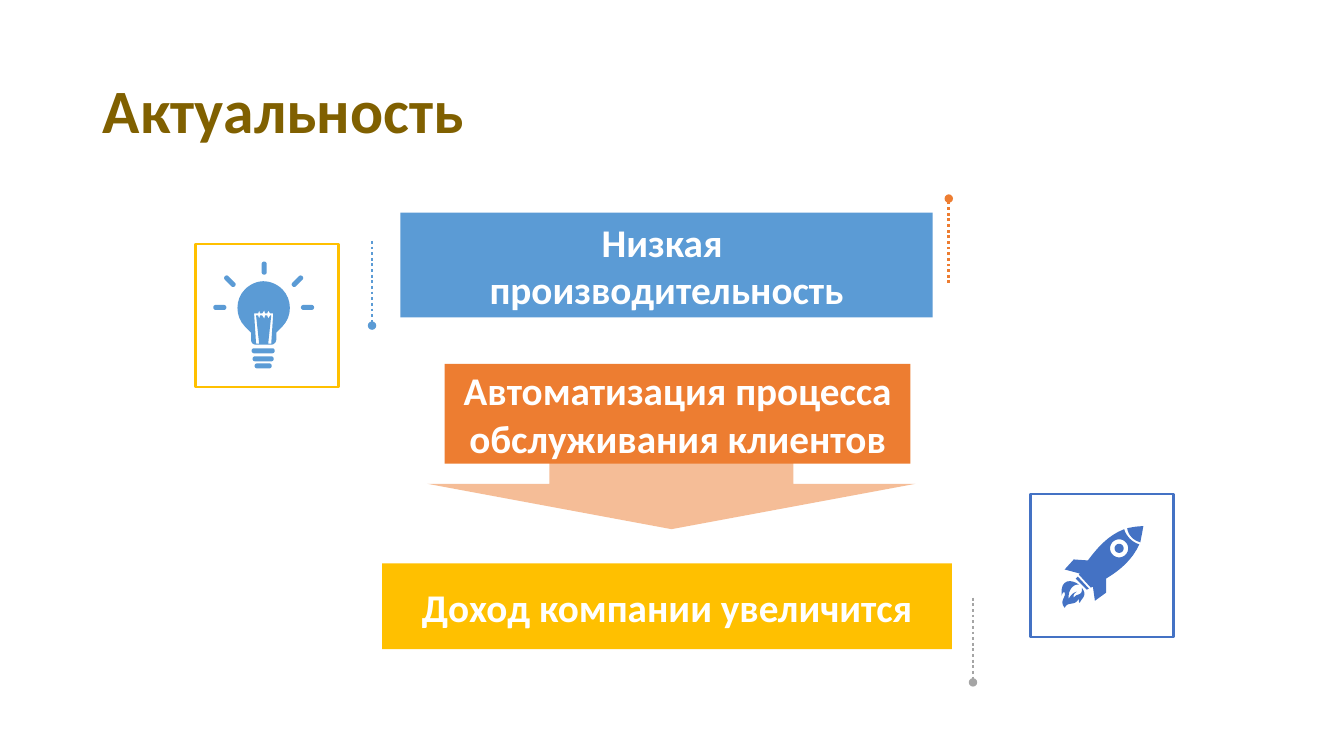
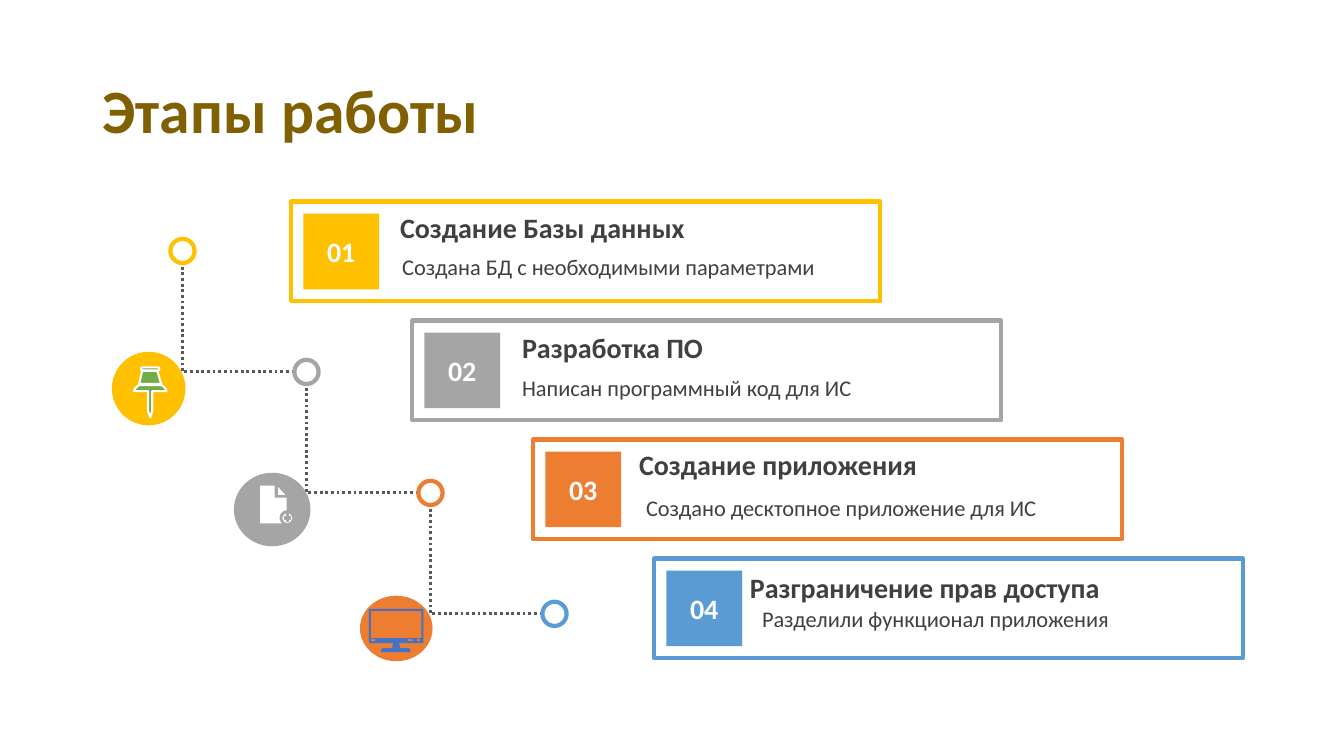
import math

import lxml.etree
import pptx
import pptx.dml.color
import pptx.enum.dml
import pptx.enum.shapes
import pptx.enum.text
import pptx.oxml.ns
import pptx.util

RGB = pptx.dml.color.RGBColor
SHAPE = pptx.enum.shapes.MSO_SHAPE
CONNECTOR = pptx.enum.shapes.MSO_CONNECTOR
ALIGN = pptx.enum.text.PP_ALIGN
ANCHOR = pptx.enum.text.MSO_ANCHOR

EMU_PER_PX = 9144
FONT = "Calibri"
WHITE = RGB(0xFF, 0xFF, 0xFF)
BROWN = RGB(0x80, 0x60, 0x00)
GOLD = RGB(0xFF, 0xC0, 0x00)
GRAY = RGB(0xA5, 0xA5, 0xA5)
ORANGE = RGB(0xED, 0x7D, 0x31)
SKY = RGB(0x5B, 0x9B, 0xD5)
BLUE = RGB(0x44, 0x72, 0xC4)
GREEN = RGB(0x70, 0xAD, 0x47)
INK = RGB(0x40, 0x40, 0x40)
DOTS = RGB(0x59, 0x59, 0x59)

STAGES = [
    (GOLD, "Создание Базы данных", (387, 204),
     "Создана БД с необходимыми параметрами", (389, 246)),
    (GRAY, "Разработка ПО", (508, 323),
     "Написан программный код для ИС", (508, 366)),
    (ORANGE, "Создание приложения", (624, 439),
     "Создано десктопное приложение для ИС", (631, 485)),
    (SKY, "Разграничение прав доступа", (734, 561),
     "Разделили функционал приложения", (746, 595)),
]


def px(*lengths):
    return [pptx.util.Emu(round(length * EMU_PER_PX)) for length in lengths]


def pill(cx, cy, length, thickness, angle=0):
    radius = thickness / 2
    reach = (length - thickness) / 2
    turn = math.radians(angle)
    points = []
    for step in range(24):
        around = math.radians(step * 15 - 82.5)
        x = radius * math.cos(around) + (reach if step < 12 else -reach)
        y = radius * math.sin(around)
        points.append((cx + x * math.cos(turn) - y * math.sin(turn),
                       cy + x * math.sin(turn) + y * math.cos(turn)))
    return points


def flatten(contour):
    points = []
    for part in contour:
        if len(part) == 2:
            points.append(part)
            continue
        corners = [points[-1], part[0:2], part[2:4], part[4:6]]
        for step in range(1, 9):
            t = step / 8
            weights = [(1 - t) ** 3, 3 * t * (1 - t) ** 2, 3 * t * t * (1 - t), t ** 3]
            points.append(tuple(sum(w * c[axis] for w, c in zip(weights, corners))
                                for axis in (0, 1)))
    return points


def paint(shape, fill=None, line=None, width=2):
    shape.shadow.inherit = False
    if fill is None:
        shape.fill.background()
    else:
        shape.fill.solid()
        shape.fill.fore_color.rgb = fill
    if line is None:
        shape.line.fill.background()
    else:
        shape.line.color.rgb = line
        shape.line.width = pptx.util.Pt(width)


def write(shape, text, size, color, bold=True, align=ALIGN.LEFT):
    frame = shape.text_frame
    frame.word_wrap = True
    frame.text = text
    for paragraph in frame.paragraphs:
        paragraph.alignment = align
        paragraph.font.name = FONT
        paragraph.font.size = pptx.util.Pt(size)
        paragraph.font.bold = bold
        paragraph.font.color.rgb = color


def add_figure(slide, kind, box, fill=None, line=None, width=2):
    figure = slide.shapes.add_shape(kind, *px(*box))
    paint(figure, fill, line, width)
    return figure


def add_block(slide, box, color, text, size):
    block = add_figure(slide, SHAPE.RECTANGLE, box, color)
    block.text_frame.vertical_anchor = ANCHOR.MIDDLE
    write(block, text, size, WHITE, align=ALIGN.CENTER)


def add_caption(slide, box, text, size, bold):
    caption = slide.shapes.add_textbox(*px(*box))
    write(caption, text, size, INK, bold)


def add_dotted_line(slide, kind, start, end, color):
    dotted = slide.shapes.add_connector(kind, *px(*start, *end))
    dotted.line.color.rgb = color
    dotted.line.width = pptx.util.Pt(2)
    dotted.line.dash_style = pptx.enum.dml.MSO_LINE.ROUND_DOT
    properties = dotted._element.spPr
    lxml.etree.SubElement(properties, pptx.oxml.ns.qn("a:effectLst"))
    return properties


def add_pin_line(slide, start, end, color):
    properties = add_dotted_line(slide, CONNECTOR.STRAIGHT, start, end, color)
    outline = properties.find(pptx.oxml.ns.qn("a:ln"))
    lxml.etree.SubElement(outline, pptx.oxml.ns.qn("a:tailEnd"), type="oval")


def add_corner_line(slide, start, end):
    properties = add_dotted_line(slide, CONNECTOR.ELBOW, start, end, DOTS)
    properties.find(pptx.oxml.ns.qn("a:prstGeom")).set("prst", "bentConnector2")


def add_icon(slide, contours, fill, line=None, width=1):
    outlines = [[px(*point) for point in flatten(contour)] for contour in contours]
    builder = slide.shapes.build_freeform(*outlines[0][0], scale=1.0)
    for index, points in enumerate(outlines):
        if index:
            builder.move_to(*points[0])
        builder.add_line_segments(points[1:], close=True)
    paint(builder.convert_to_shape(), fill, line, width)


def add_bulb(slide):
    glass = [(261, 279), (268, 279, 275, 282, 280, 287), (290, 297, 290, 314, 280, 324),
             (274, 330), (274, 337), (274, 340, 271, 342, 269, 342), (254, 342),
             (251, 342, 249, 340, 249, 337), (249, 330), (243, 324),
             (233, 314, 233, 297, 243, 287), (248, 282, 255, 279, 261, 279)]
    filament = [(257, 308), (256, 311), (252, 311), (254, 341), (257, 341), (254, 313),
                (256, 313), (257, 316), (258, 313), (260, 313), (262, 316), (263, 313),
                (265, 313), (266, 316), (268, 313), (269, 313), (266, 341), (269, 341),
                (271, 311), (268, 311), (266, 308), (265, 311), (263, 311), (262, 308),
                (260, 311), (258, 311)]
    rays = [pill(218, 305, 13, 5), pill(305, 305, 13, 5), pill(262, 266, 13, 5, 90),
            pill(228, 279, 14, 5, 45), pill(295, 279, 14, 5, -45)]
    base = [pill(261, 348, 23, 5), pill(261, 356, 21, 5), pill(261, 363, 17, 5)]
    add_icon(slide, [glass, filament, *rays, *base], SKY)


def add_rocket(slide):
    flame = [(1070, 580), (1066, 579, 1059, 584, 1060, 594),
             (1063, 589, 1065, 588, 1068, 587), (1067, 588, 1064, 589, 1065, 593),
             (1068, 588, 1074, 592, 1073, 583), (1079, 591, 1073, 593, 1071, 598),
             (1069, 597, 1071, 592, 1070, 594), (1066, 602, 1059, 596, 1056, 603),
             (1050, 596, 1058, 592, 1056, 588), (1056, 587, 1054, 587, 1053, 591),
             (1051, 573, 1064, 575, 1070, 580)]
    nozzle = [(1069, 572), (1080, 584), (1078, 585), (1067, 574)]
    hull = [(1115, 525), (1117, 532, 1123, 538, 1130, 540),
            (1123, 556, 1109, 567, 1097, 574), (1097, 588), (1086, 596), (1084, 582),
            (1082, 583), (1070, 570), (1071, 569), (1056, 565), (1065, 555),
            (1079, 556), (1088, 544, 1099, 531, 1115, 525)]
    nose = [(1134, 522), (1133, 528, 1132, 533, 1131, 538),
            (1124, 536, 1119, 531, 1118, 524), (1123, 523, 1128, 522, 1134, 522)]
    window = [pill(1110, 544, size, size) for size in (18, 9)]
    add_icon(slide, [flame, nozzle, hull, nose, *window], BLUE)


def add_pushpin(slide):
    skirt = [(138, 382), (160, 382), (163, 384, 165, 386, 165, 388), (151, 388),
             (151, 408), (149, 414), (147, 408), (147, 388), (133, 388),
             (133, 386, 135, 384, 138, 382)]
    neck = [(141, 368), (156, 368), (160, 381), (138, 381)]
    add_icon(slide, [skirt, neck, pill(149, 366, 18, 3)], GREEN, WHITE, 1.5)


def add_document(slide):
    plus = [(284, 510), (284, 513), (282, 513), (282, 515), (284, 515), (284, 517),
            (286, 517), (286, 515), (288, 515), (288, 513), (286, 513), (286, 510)]
    page = [(257, 481), (273, 481), (273, 493), (285, 493), (285, 507),
            (281, 507, 278, 510, 278, 514), (278, 517, 281, 520, 285, 520), (257, 520)]
    fold = [(275, 481), (285, 492), (275, 492)]
    add_icon(slide, [plus, pill(285, 514, 11, 11), page, fold], WHITE, GRAY)


def add_monitor(slide):
    body = [(366, 604), (420, 604), (420, 638), (396, 638), (397, 643), (405, 643),
            (406, 643, 407, 644, 407, 645), (407, 647), (378, 647), (378, 645),
            (378, 644, 379, 643, 381, 643), (389, 643), (390, 638), (366, 638)]
    screen = [(368, 606), (368, 633), (418, 633), (418, 606)]
    buttons = [pill(370, 635, 5, 2), pill(407, 635, 5, 2), pill(415, 635, 3, 3)]
    add_icon(slide, [body, screen, *buttons], BLUE)


def add_titled_slide(deck, heading):
    slide = deck.slides.add_slide(deck.slide_layouts[5])
    title = slide.shapes.title
    title.left, title.top, title.width, title.height = px(92, 40, 1150, 145)
    title.text_frame.vertical_anchor = ANCHOR.MIDDLE
    write(title, heading, 44, BROWN)
    title.text_frame.paragraphs[0].line_spacing = 0.9
    return slide


def build_relevance(deck):
    slide = add_titled_slide(deck, "Актуальность")
    arrow = add_figure(slide, SHAPE.DOWN_ARROW, (424, 435, 484, 90), ORANGE)
    tint = arrow._element.spPr.find(".//" + pptx.oxml.ns.qn("a:srgbClr"))
    lxml.etree.SubElement(tint, pptx.oxml.ns.qn("a:alpha"), val="50000")
    for box, color, text in [
        ((397, 211, 528, 104), SKY, "Низкая \nпроизводительность"),
        ((441, 361, 462, 99), ORANGE, "Автоматизация процесса обслуживания клиентов"),
        ((379, 559, 565, 85), GOLD, "Доход компании увеличится"),
    ]:
        add_block(slide, box, color, text, 28)
    for x, start, end, color in [(369, 239, 323, SKY), (941, 281, 197, ORANGE),
                                 (965, 593, 677, GRAY)]:
        add_pin_line(slide, (x, start), (x, end), color)
    for left, top, color in [(1022, 490, BLUE), (194, 242, GOLD)]:
        add_figure(slide, SHAPE.RECTANGLE, (left, top, 142, 142), line=color)
    add_rocket(slide)
    add_bulb(slide)


def build_stages(deck):
    slide = add_titled_slide(deck, "Этапы работы")
    for index, (color, heading, heading_at, detail, detail_at) in enumerate(STAGES):
        left, top = 289 + 120 * index, 200 + 118 * index
        add_figure(slide, SHAPE.RECTANGLE, (left, top, 584, 99), WHITE, color, 3)
        add_block(slide, (left + 12, top + 12, 75, 75), color, f"{index + 1:02}", 20)
        add_caption(slide, (*heading_at, 474, 44), heading, 20, True)
        add_caption(slide, (*detail_at, 474, 37), detail, 16, False)
        node_left, node_top = 169 + 123 * index, 237 + 120 * index
        if index:
            add_corner_line(slide, (node_left, node_top + 12),
                            (node_left - 111, node_top - 95))
        add_figure(slide, SHAPE.OVAL, (node_left, node_top, 24, 24), WHITE, color, 3)
    for box, color, add_symbol in [
        ((111, 349, 73, 73), GOLD, add_pushpin),
        ((232, 469, 76, 73), GRAY, add_document),
        ((357, 591, 72, 65), ORANGE, add_monitor),
    ]:
        add_figure(slide, SHAPE.OVAL, box, color)
        add_symbol(slide)


def main():
    deck = pptx.Presentation()
    deck.slide_width, deck.slide_height = px(1333, 750)
    build_relevance(deck)
    build_stages(deck)
    deck.save("out.pptx")


if __name__ == "__main__":
    main()
